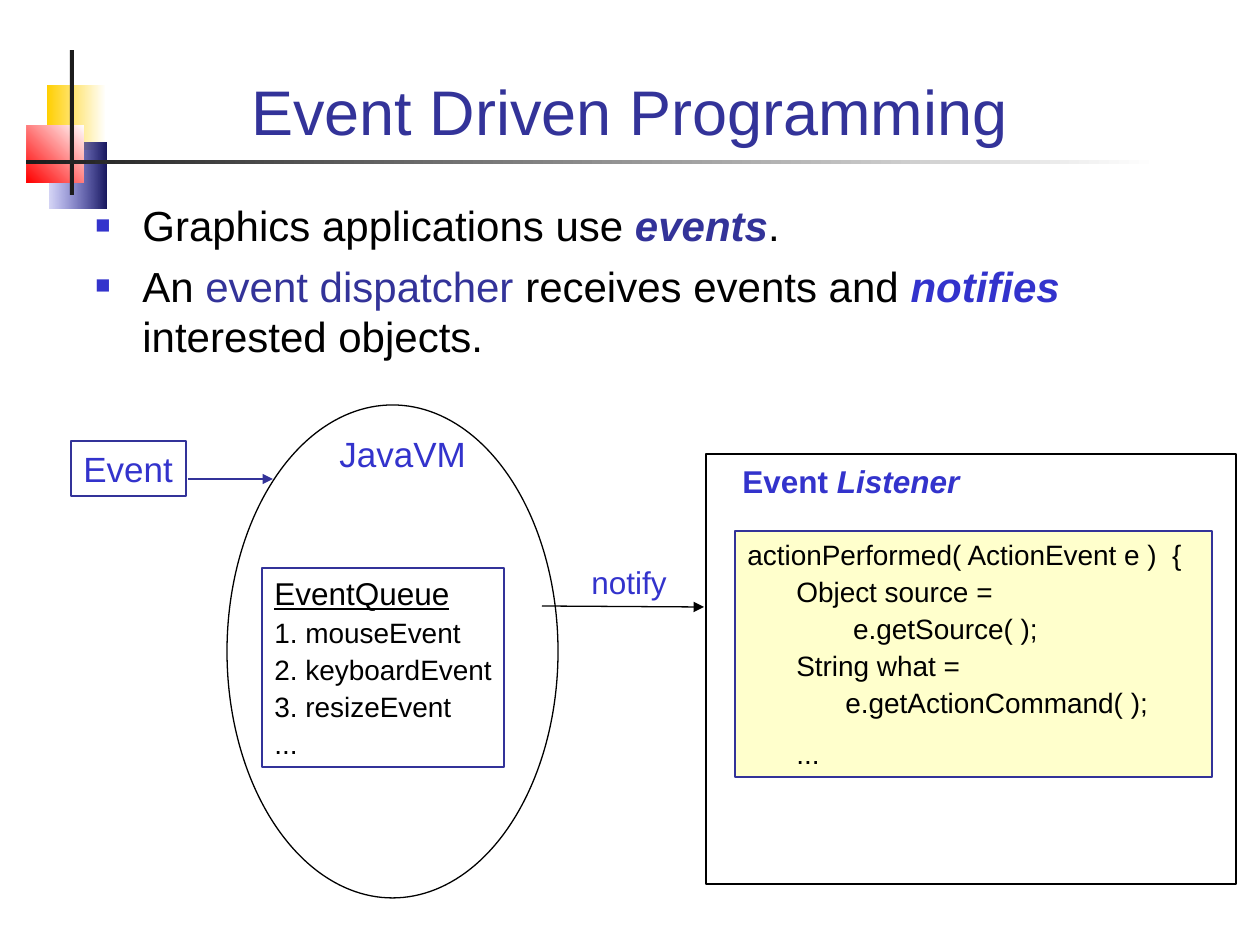
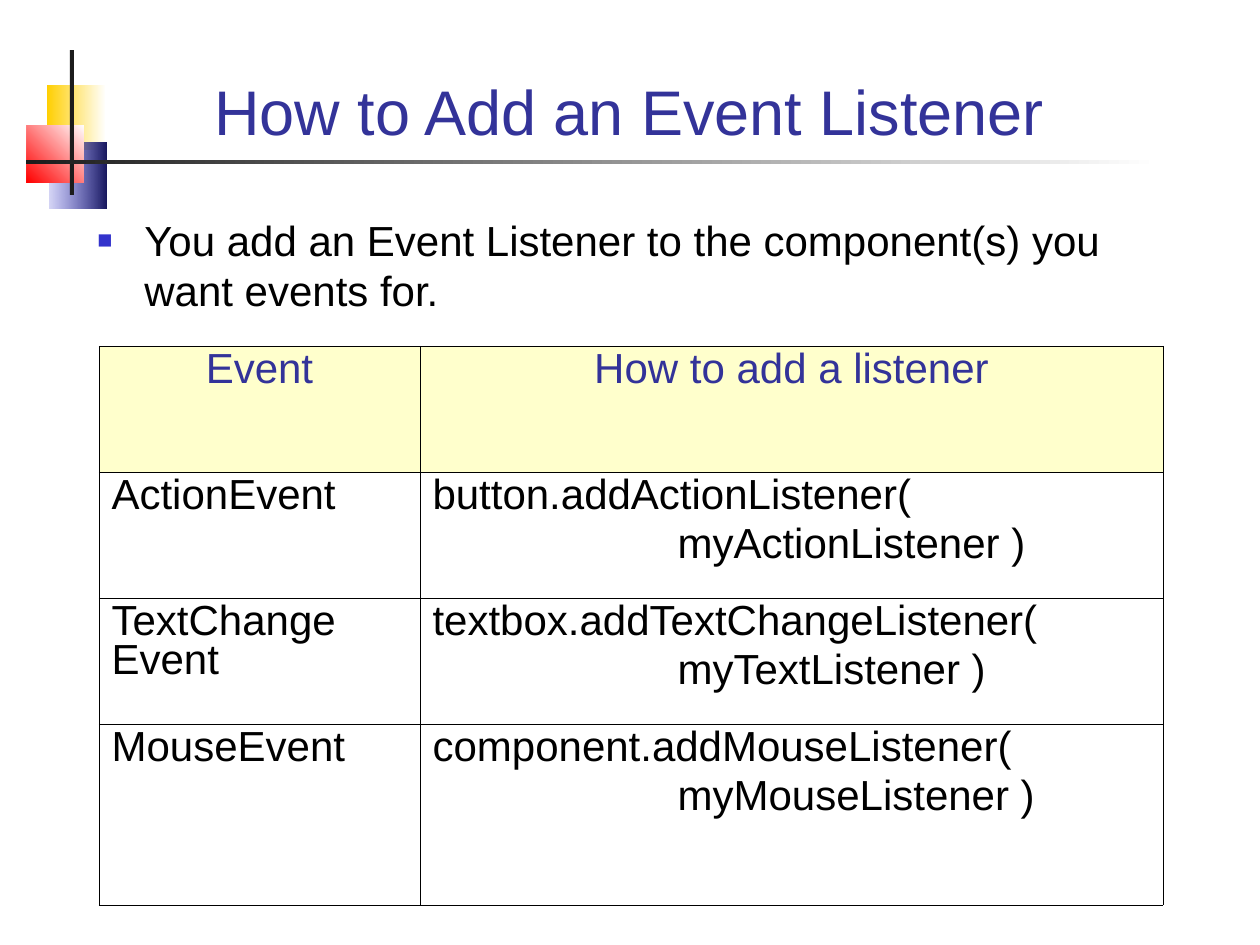
import lxml.etree
import pptx
import pptx.dml.color
import pptx.enum.shapes
import pptx.enum.text
import pptx.oxml.ns
import pptx.util

PX = 914400 / 126
FONT = "Arial"
RGB = pptx.dml.color.RGBColor
INDIGO = RGB(0x33, 0x33, 0x99)
BLUE = RGB(0x33, 0x33, 0xCC)
BLACK = RGB(0, 0, 0)
WHITE = RGB(0xFF, 0xFF, 0xFF)
CREAM = RGB(0xFF, 0xFF, 0xCC)
YELLOW = RGB(0xFF, 0xCF, 0x01)
NAVY = RGB(0x17, 0x17, 0x5E)
RED = RGB(0xFF, 0, 0)
CHARCOAL = RGB(0x1C, 0x1C, 0x1C)

SHAPE = pptx.enum.shapes.MSO_SHAPE
ALIGN = pptx.enum.text.PP_ALIGN
ANCHOR = pptx.enum.text.MSO_ANCHOR
AUTO = pptx.enum.text.MSO_AUTO_SIZE
qn = pptx.oxml.ns.qn
SubElement = lxml.etree.SubElement


def emu(*lengths):
    return [round(n * PX) for n in lengths]


def write(tf, paragraphs, size, before=0):
    """Fill a text frame; a run is (text, colour, style letters from "biu")."""
    for i, runs in enumerate(paragraphs):
        p = tf.add_paragraph() if i else tf.paragraphs[0]
        p.alignment = ALIGN.LEFT
        if i:
            p.space_before = pptx.util.Pt(before)
        for text, color, style in runs:
            r = p.add_run()
            r.text = text
            r.font.name = FONT
            r.font.size = pptx.util.Pt(size)
            r.font.color.rgb = color
            r.font.bold = "b" in style
            r.font.italic = "i" in style
            r.font.underline = "u" in style


prs = pptx.Presentation()
prs.slide_width, prs.slide_height = emu(1260, 945)

# Place, gradient from and to, angle
ornaments = [
    ((47, 85, 59, 65), WHITE, YELLOW, 180),
    ((49, 143, 57, 66), NAVY, BLUE, 180),
    ((27, 125, 57, 58), WHITE, RED, 225),
    ((70, 50, 4, 145), CHARCOAL, CHARCOAL, 180),
    ((26, 160, 1133, 4), WHITE, CHARCOAL, 180),
]

pages = [
    ("Event Driven Programming", (83, 193, 1091, 192), [
        [("Graphics applications use ", BLACK, ""), ("events", INDIGO, "bi"),
         (".", BLACK, "")],
        [("An ", BLACK, ""), ("event dispatcher", INDIGO, ""),
         (" receives events and ", BLACK, ""), ("notifies", BLUE, "bi"),
         (" interested objects.", BLACK, "")],
    ]),
    ("How to Add an Event Listener", (85, 208, 1091, 150), [
        [("You add an Event Listener to the component(s) you want events for.",
          BLACK, "")],
    ]),
]

# Shared frame of both slides: ornaments, title, bulleted text
for title, body_at, bullets in pages:
    s = prs.slides.add_slide(prs.slide_layouts[5])

    for at, start, end, angle in ornaments:
        sp = s.shapes.add_shape(SHAPE.RECTANGLE, *emu(*at))
        sp.shadow.inherit = False
        sp.line.fill.background()
        if start == end:
            sp.fill.solid()
            sp.fill.fore_color.rgb = start
            continue
        sp.fill.gradient()
        sp.fill.gradient_angle = angle
        for stop, color, position in zip(sp.fill.gradient_stops, (start, end), (0, 1)):
            stop.color.rgb = color
            stop.position = position
        if start == NAVY:
            faded = sp._element.spPr.findall(".//" + qn("a:srgbClr"))[-1]
            SubElement(faded, qn("a:alpha"), val="20000")

    sp = s.shapes.title
    sp.left, sp.top, sp.width, sp.height = emu(84, 35, 1091, 119)
    tf = sp.text_frame
    tf.auto_size = AUTO.NONE
    tf.vertical_anchor = ANCHOR.BOTTOM
    write(tf, [[(title, INDIGO, "")]], 36)
    tf.paragraphs[0].alignment = ALIGN.CENTER

    tf = s.shapes.add_textbox(*emu(*body_at)).text_frame
    tf.word_wrap = True
    write(tf, bullets, 24, 6)
    for p in tf.paragraphs:
        pPr = p._p.get_or_add_pPr()
        margin, = emu(47)
        pPr.set("marL", str(margin))
        pPr.set("indent", str(-margin))
        SubElement(SubElement(pPr, qn("a:buClr")), qn("a:srgbClr"), val=str(BLUE))
        SubElement(pPr, qn("a:buSzPct"), val="60000")
        SubElement(pPr, qn("a:buFont"), typeface=FONT)
        SubElement(pPr, qn("a:buChar"), char="■")

flow_slide, table_slide = prs.slides

# Slide 1: the way of an event from its source to the listener
s = flow_slide
queue = [[("EventQueue", BLACK, "u")]] + [
    [(text, BLACK, "")]
    for text in ("1. mouseEvent", "2. keyboardEvent", "3. resizeEvent", "...")]
code = [
    (0, "actionPerformed( ActionEvent e )  {"),
    (1, "Object source ="),
    (2, " e.getSource( );"),
    (1, "String what ="),
    (2, "e.getActionCommand( );"),
    (1, "..."),
]
code_text = [[(text, BLACK, "")] for level, text in code]

# Kind, place, line colour and width, fill, text, size
boxes = [
    (SHAPE.RECTANGLE, (71, 441, 115, 55), INDIGO, 1.5, None, [[("Event", BLUE, "")]], 20),
    (SHAPE.RECTANGLE, (262, 568, 242, 199), INDIGO, 0.75, None, queue, 16),
    (SHAPE.OVAL, (227, 405, 331, 493), BLACK, 0.75, None, [], 0),
    (SHAPE.RECTANGLE, (735, 531, 477, 246), INDIGO, 0.75, CREAM, code_text, 16),
    (SHAPE.RECTANGLE, (706, 454, 530, 430), BLACK, 0.75, None, [], 0),
]
for kind, at, line, width, fill, text, size in boxes:
    sp = s.shapes.add_shape(kind, *emu(*at))
    sp.shadow.inherit = False
    sp.line.color.rgb = line
    sp.line.width = pptx.util.Pt(width)
    if fill:
        sp.fill.solid()
        sp.fill.fore_color.rgb = fill
    else:
        sp.fill.background()
    if text:
        tf = sp.text_frame
        tf.word_wrap = True
        tf.auto_size = AUTO.NONE
        tf.margin_right = 0
        tf.vertical_anchor = ANCHOR.TOP
        write(tf, text, size, 2)
        if text is queue:
            tf.paragraphs[0].runs[0].font.size = pptx.util.Pt(18)
        if text is code_text:
            for p, (level, _) in zip(tf.paragraphs, code):
                p._p.get_or_add_pPr().set("marL", str(emu(49 * level)[0]))
            p.space_before = pptx.util.Pt(10)

labels = [
    ((327, 426, 151, 55), [("JavaVM", BLUE, "")], 20),
    ((730, 456, 242, 50), [("Event ", BLUE, "b"), ("Listener", BLUE, "bi")], 18),
    ((579, 557, 101, 50), [("notify", BLUE, "")], 18),
]
for at, runs, size in labels:
    tf = s.shapes.add_textbox(*emu(*at)).text_frame
    tf.word_wrap = True
    tf.auto_size = AUTO.NONE
    tf.margin_right = 0
    write(tf, [runs], size)

arrows = [
    ((188, 479, 273, 479), INDIGO, 1.5),
    ((542, 606, 704, 607), BLACK, 0.75),
]
for ends, color, width in arrows:
    c = s.shapes.add_connector(pptx.enum.shapes.MSO_CONNECTOR.STRAIGHT, *emu(*ends))
    c.line.color.rgb = color
    c.line.width = pptx.util.Pt(width)
    SubElement(c.line._get_or_add_ln(), qn("a:tailEnd"), type="triangle")
    SubElement(c._element.spPr, qn("a:effectLst"))

# Slide 2: table of events and listener calls
s = table_slide
rows = [
    (126, "Event", ["How to add a listener"]),
    (126, "ActionEvent", ["button.addActionListener(", "myActionListener )"]),
    (126, "TextChange Event", ["textbox.addTextChangeListener(", "myTextListener )"]),
    (181, "MouseEvent", ["component.addMouseListener(", "myMouseListener )"]),
]
columns = (321, 743)
height = sum(row[0] for row in rows)
table = s.shapes.add_table(
    len(rows), len(columns), *emu(99, 346, sum(columns), height)).table
table.first_row = table.horz_banding = False
for column, width in zip(table.columns, emu(*columns)):
    column.width = width

for i, (row_height, event, call) in enumerate(rows):
    table.rows[i].height = emu(row_height)[0]
    for cell, lines in zip(table.rows[i].cells, ([event], call)):
        tcPr = cell._tc.get_or_add_tcPr()
        for side in ("a:lnL", "a:lnR", "a:lnT", "a:lnB"):
            ln = SubElement(tcPr, qn(side), w="1270")
            SubElement(SubElement(ln, qn("a:solidFill")), qn("a:srgbClr"), val=str(BLACK))
        if i == 0:
            cell.fill.solid()
            cell.fill.fore_color.rgb = CREAM
        else:
            cell.fill.background()
        color = BLACK if i else INDIGO
        write(cell.text_frame, [[(line, color, "")] for line in lines], 24, 6)
        for n, p in enumerate(cell.text_frame.paragraphs):
            p.line_spacing = 0.83
            p.alignment = ALIGN.LEFT if i else ALIGN.CENTER
            if n:
                p._p.get_or_add_pPr().set("marL", str(emu(245)[0]))

prs.save("out.pptx")
